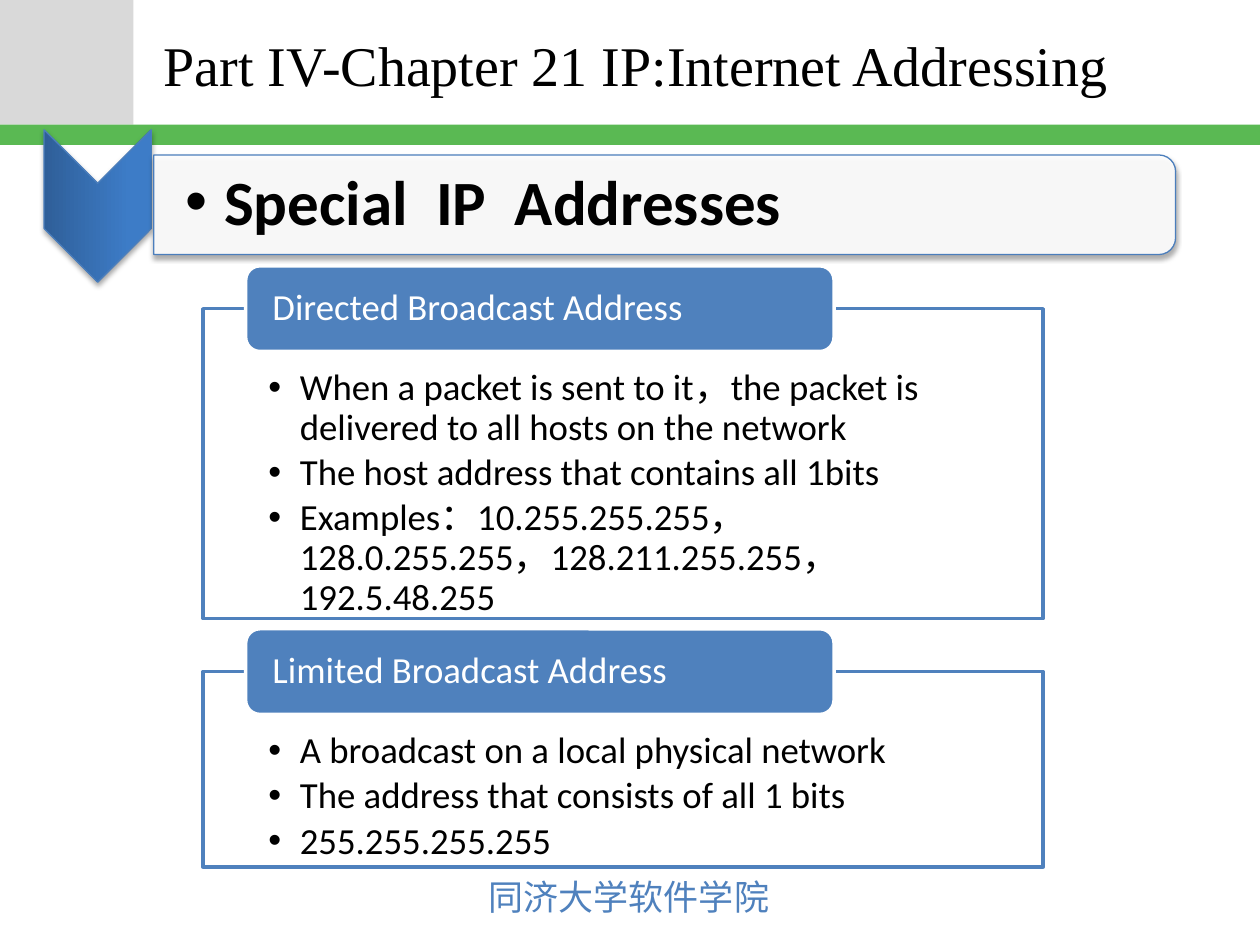
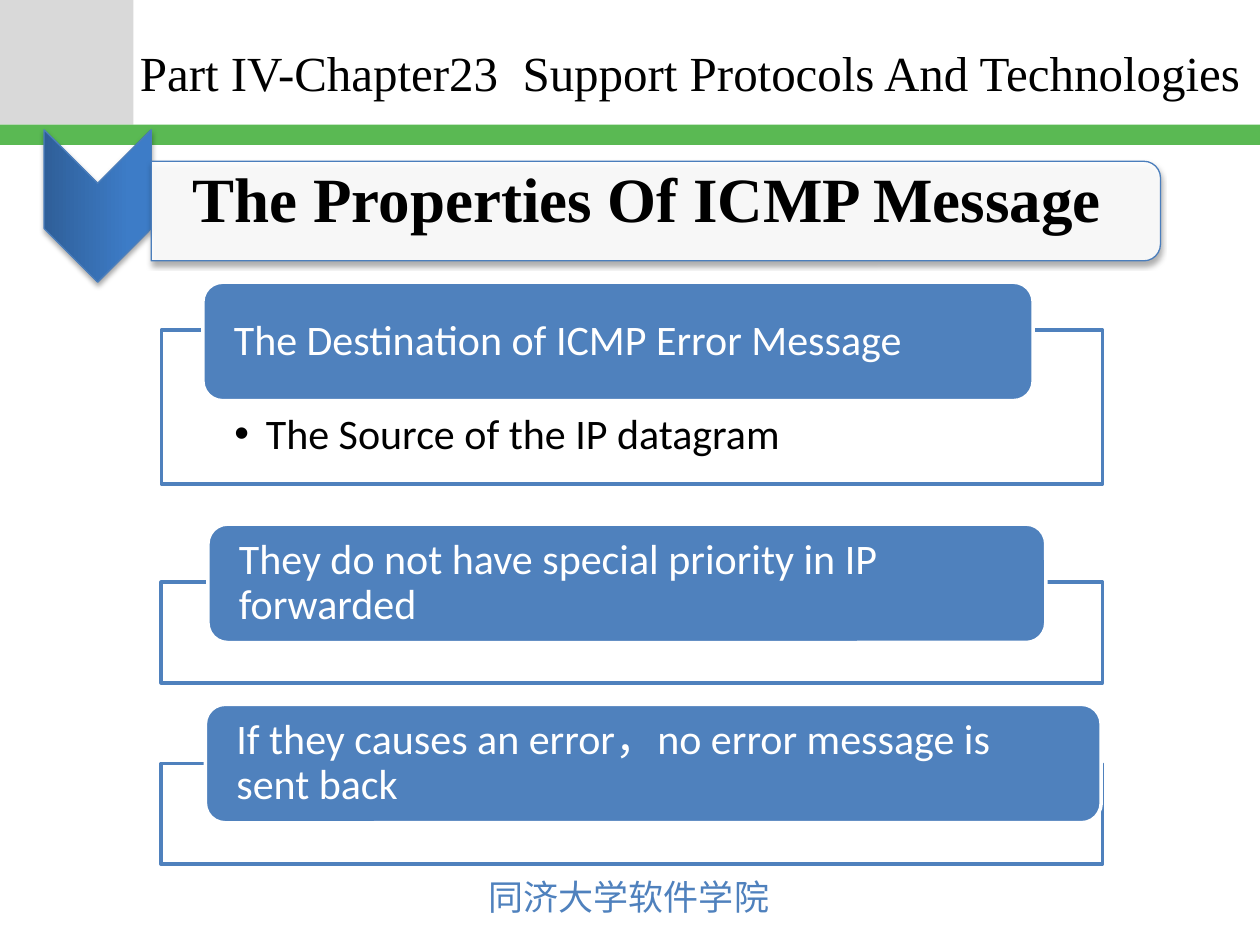
from dataclasses import dataclass
from typing import NamedTuple

from pptx import Presentation
from pptx.dml.color import RGBColor
from pptx.enum.shapes import MSO_SHAPE
from pptx.enum.text import MSO_ANCHOR, MSO_AUTO_SIZE, PP_ALIGN
from pptx.oxml import parse_xml
from pptx.oxml.ns import nsdecls, qn
from pptx.util import Emu, Inches, Pt

RECT = MSO_SHAPE.RECTANGLE
ROUND = MSO_SHAPE.ROUNDED_RECTANGLE
TAB = MSO_SHAPE.ROUND_2_SAME_RECTANGLE
ARROW = MSO_SHAPE.CHEVRON
TOP = MSO_ANCHOR.TOP
MIDDLE = MSO_ANCHOR.MIDDLE
LEFT = PP_ALIGN.LEFT
FIXED = MSO_AUTO_SIZE.NONE

WIDTH, HEIGHT = Inches(10), Inches(7.5)
COL, ROW = WIDTH / 100, HEIGHT / 75


@dataclass(frozen=True)
class Theme:
    ink: str = "000000"
    paper: str = "FFFFFF"
    blue: str = "4F81BD"
    edge: str = "4B7EBC"
    dark: str = "2F5F99"
    light: str = "3D7CC7"
    gray: str = "D9D9D9"
    green: str = "5AB953"
    sans: str = "Calibri"
    serif: str = "Times New Roman"
    asian: str = "Noto Sans CJK JP"
    head: int = 36
    foot: int = 20
    thin: float = 0.75
    thick: float = 2


THEME = Theme()


class Box(NamedTuple):
    x: float
    y: float
    w: float
    h: float

    def turned(self) -> "Box":
        shift = (self.w - self.h) / 2
        return Box(self.x + shift, self.y - shift, self.h, self.w)

    def place(self) -> list[Emu]:
        return [Emu(round(part * unit)) for part, unit in zip(self, (COL, ROW, COL, ROW))]


class Pad(NamedTuple):
    left: float = 1
    top: float = 0.5
    right: float = 1
    bottom: float = 0.5


class Head(NamedTuple):
    text: str
    bar: Box
    box: Box
    font: str
    hang: float = 0


class Card(NamedTuple):
    label: str
    panel: Box
    tag: Box
    points: tuple[str, ...] = ()


class Page(NamedTuple):
    title: str
    spot: Box
    title_size: int
    head: Head
    size: int
    pad: Pad
    tag_pad: Pad
    cards: tuple[Card, ...]


def rgb(code: str) -> RGBColor:
    return RGBColor.from_string(code)


def write(shape, *lines: str, size: float, color: str = THEME.ink, font: str = THEME.sans,
          bold: bool = False, hang: float = 0, lead: float = 1, after: float = 0,
          anchor=TOP, pad: Pad = Pad(), wrap: bool = True, asian: str = "") -> None:
    frame = shape.text_frame
    frame.word_wrap, frame.auto_size, frame.vertical_anchor = wrap, FIXED, anchor
    frame.margin_left, frame.margin_right = Emu(round(pad.left * COL)), Emu(round(pad.right * COL))
    frame.margin_top, frame.margin_bottom = Emu(round(pad.top * ROW)), Emu(round(pad.bottom * ROW))
    for i, line in enumerate(lines):
        para = frame.add_paragraph() if i else frame.paragraphs[0]
        if hang:
            props = para._p.get_or_add_pPr()
            props.set("marL", str(round(hang * COL)))
            props.set("indent", str(-round(hang * COL)))
            props.append(parse_xml(f'<a:buFont {nsdecls("a")} typeface="Arial"/>'))
            props.append(parse_xml(f'<a:buChar {nsdecls("a")} char="•"/>'))
        para.alignment, para.line_spacing = LEFT, lead
        para.space_before, para.space_after = Pt(0), Pt(after * size)
        run = para.add_run()
        run.text = line
        run.font.size, run.font.name, run.font.bold = Pt(size), font, bold
        run.font.color.rgb = rgb(color)
    if asian:
        for latin in shape.element.iter(qn("a:latin")):
            latin.addnext(parse_xml(f'<a:ea {nsdecls("a")} typeface="{asian}"/>'))


def paint(shape, fill: str, line: str = "", weight: float = 0, clear: bool = False) -> None:
    shape.shadow.inherit = False
    shape.fill.solid()
    shape.fill.fore_color.rgb = rgb(fill)
    if clear:
        tint = next(shape.element.iter(qn("a:srgbClr")))
        tint.append(parse_xml(f'<a:alpha {nsdecls("a")} val="90000"/>'))
    if line:
        shape.line.color.rgb = rgb(line)
        shape.line.width = Pt(weight)
    else:
        shape.line.fill.background()


def shade(shape) -> None:
    next(shape.element.iter(qn("a:effectLst"))).append(parse_xml(
        f'<a:outerShdw {nsdecls("a")} blurRad="{Pt(3.1)}" dist="{Pt(1.8)}" dir="5400000" '
        'rotWithShape="0"><a:srgbClr val="000000"><a:alpha val="35000"/>'
        '</a:srgbClr></a:outerShdw>'))


def draw(slide, kind, box: Box, fill: str, line: str = "", weight: float = 0,
         clear: bool = False):
    shape = slide.shapes.add_shape(kind, *box.place())
    paint(shape, fill, line, weight, clear)
    return shape


def move(shape, box: Box) -> None:
    shape.left, shape.top, shape.width, shape.height = box.place()


def add_frame(deck, slide) -> None:
    block = draw(slide, RECT, Box(0, 0, 10.6, 9.9), THEME.gray)
    band = draw(slide, RECT, Box(0, 9.9, 100, 1.6), THEME.green)
    foot = slide.shapes.add_textbox(*Box(37.8, 69, 24.5, 4.4).place())
    write(foot, "同济大学软件学院", size=THEME.foot, color=THEME.blue,
          font=THEME.asian, asian=THEME.asian, wrap=False)
    for shape in (block, band, foot):
        deck.slide_master.shapes.element.append(shape.element)


def add_head(slide, head: Head) -> None:
    arrow = draw(slide, ARROW, Box(3.5, 10.3, 8.5, 12.1).turned(),
                 THEME.light, THEME.edge, THEME.thin)
    arrow.fill.gradient()
    arrow.fill.gradient_angle = 90
    for stop, color, place in zip(arrow.fill.gradient_stops, (THEME.dark, THEME.light), (0, 0.8)):
        stop.color.rgb = rgb(color)
        stop.position = place
    bar = draw(slide, TAB, head.bar.turned(), THEME.paper, THEME.edge, THEME.thin, clear=True)
    for shape in (arrow, bar):
        shape.rotation = 90
        shade(shape)
    text = slide.shapes.add_textbox(*head.box.place())
    write(text, head.text, size=THEME.head, font=head.font, bold=True, hang=head.hang,
          lead=0.9 if head.hang else 1, anchor=MIDDLE, pad=Pad(2.5, 0.2, 0.2, 0.2))


def add_card(slide, card: Card, page: Page, lists) -> None:
    if card.points:
        panel = next(lists)
        move(panel, card.panel)
        paint(panel, THEME.paper, THEME.blue, THEME.thick, clear=True)
        write(panel, *card.points, size=page.size, hang=2.5, lead=0.9, after=0.15, pad=page.pad)
    else:
        draw(slide, RECT, card.panel, THEME.paper, THEME.blue, THEME.thick, clear=True)
    tag = draw(slide, ROUND, card.tag, THEME.blue, THEME.paper, THEME.thick)
    write(tag, card.label, size=page.size, color=THEME.paper, lead=0.9,
          anchor=MIDDLE, pad=page.tag_pad)


def add_page(deck, page: Page):
    count = sum(bool(card.points) for card in page.cards)
    slide = deck.slides.add_slide(deck.slide_layouts[{1: 1, 2: 3}[count]])
    title = slide.shapes.title
    move(title, page.spot)
    write(title, page.title, size=page.title_size, font=THEME.serif, anchor=MIDDLE)
    add_head(slide, page.head)
    lists = (item for item in slide.placeholders if item.placeholder_format.idx)
    for card in page.cards:
        add_card(slide, card, page, lists)
    return slide


PAGES = (
    Page("Part IV-Chapter 21 IP:Internet Addressing", Box(12, 0.2, 86, 9.8), 32,
         Head("Special  IP  Addresses", Box(12.2, 12.3, 81.1, 7.9),
              Box(12.2, 12.7, 80.7, 7.1), THEME.sans, 3.1),
         21, Pad(5.2, 4.8, 5.2, 1.6), Pad(1.8, 0, 1.8, 0), (
             Card("Directed Broadcast Address",
                  Box(16.1, 24.5, 66.7, 24.6), Box(19.5, 21.1, 46.7, 6.8),
                  ("When a packet is sent to it，the packet is delivered to all hosts on the network",
                   "The host address that contains all 1bits",
                   "Examples：10.255.255.255， 128.0.255.255，128.211.255.255，192.5.48.255")),
             Card("Limited Broadcast Address",
                  Box(16.1, 53.3, 66.7, 15.5), Box(19.5, 49.9, 46.7, 6.8),
                  ("A broadcast on a local physical network",
                   "The address that consists of all 1 bits",
                   "255.255.255.255")))),
    Page("Part IV-Chapter23  Support Protocols And Technologies", Box(10.1, 0.8, 89.9, 9.8), 28,
         Head("The Properties Of ICMP Message", Box(12, 12.8, 80.1, 7.9),
              Box(12.8, 12.1, 79.8, 7.1), THEME.serif),
         24, Pad(5.8, 6.6, 5.8, 1.9), Pad(2, 0, 2, 0), (
             Card("The Destination of ICMP Error Message",
                  Box(12.8, 26.2, 74.7, 12.2), Box(16.1, 22.4, 65.9, 9.4),
                  ("The Source of the IP datagram",)),
             Card("They do not have special priority in IP forwarded",
                  Box(12.8, 46.2, 74.7, 8), Box(16.5, 41.6, 66.5, 9.4)),
             Card("If they causes an error，no error message is sent back",
                  Box(12.8, 60.6, 74.7, 8), Box(16.3, 55.9, 71.1, 9.4)))),
)


def main() -> None:
    deck = Presentation()
    deck.slide_width, deck.slide_height = WIDTH, HEIGHT
    slides = [add_page(deck, page) for page in PAGES]
    add_frame(deck, slides[0])
    deck.save("out.pptx")


if __name__ == "__main__":
    main()
